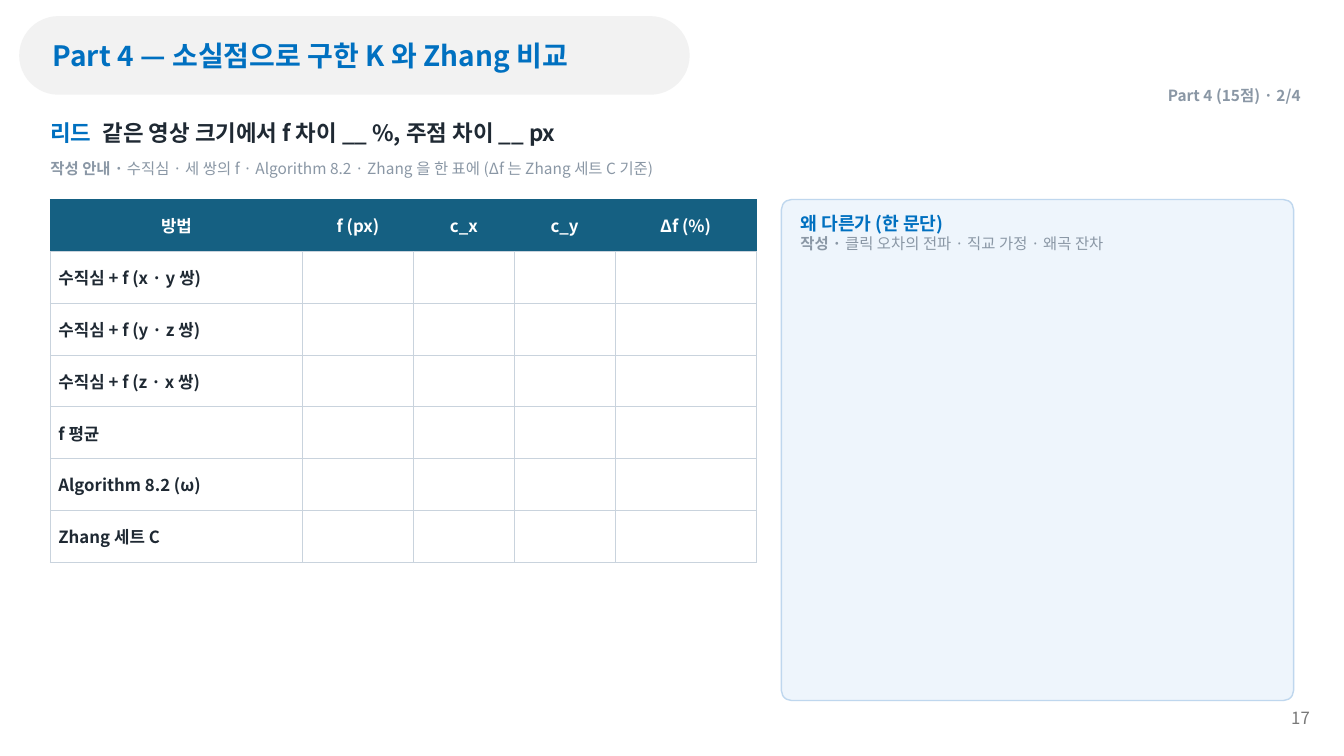
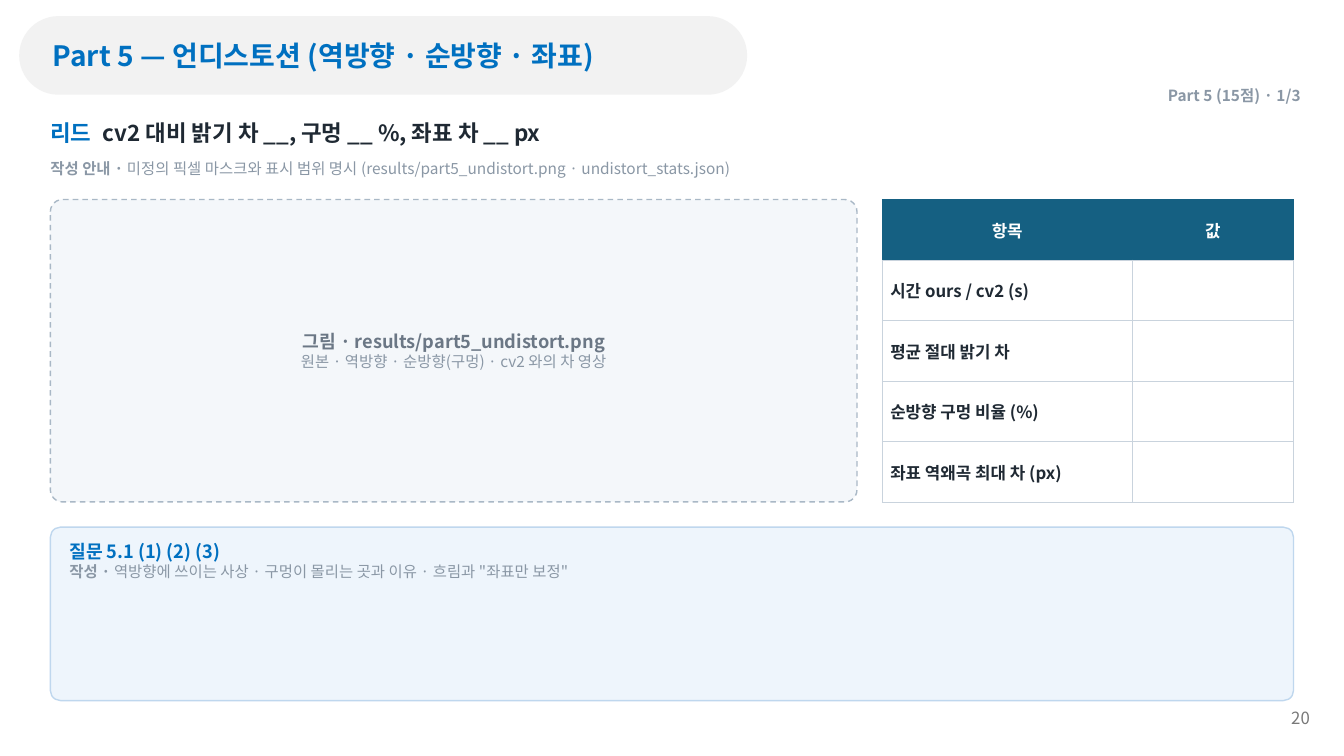
from dataclasses import dataclass

from lxml import etree
from pptx import Presentation
from pptx import util as u
from pptx.dml.color import RGBColor
from pptx.enum import dml, shapes, text
from pptx.oxml import ns


@dataclass(frozen=True)
class Theme:
    font: str = "Noto Sans CJK KR"
    accent: str = "0070C0"
    ink: str = "1F2933"
    muted: str = "8A97A5"
    caption: str = "6B7785"
    number: str = "797979"
    white: str = "FFFFFF"
    pill: str = "F2F2F2"
    header: str = "156082"
    grid: str = "C9D3DD"
    panel: str = "EEF5FC"
    panel_line: str = "BFD7EE"
    figure: str = "F4F7FA"
    figure_line: str = "A9B8C6"
    title_size: int = 20
    lead_size: int = 16
    heading_size: int = 13
    body_size: int = 12
    note_size: int = 11


THEME = Theme()
LEFT, RIGHT, TOP, BOTTOM, GAP = 0.5, 12.83, 1.98, 6.95, 0.25
WIDTH = RIGHT - LEFT
MIDDLE = text.MSO_ANCHOR.MIDDLE
CENTER, END = text.PP_ALIGN.CENTER, text.PP_ALIGN.RIGHT


def apply(target, **values):
    for name, value in values.items():
        setattr(target, name, value)


def add_span(para, words, size, color, bold=False):
    span = para.add_run()
    span.text = words
    apply(span.font, size=u.Pt(size), bold=bold, name=THEME.font)
    span.font.color.rgb = RGBColor.from_string(color)
    east_asian = etree.SubElement(span.font._element, ns.qn("a:ea"))
    east_asian.set("typeface", THEME.font)


def set_frame(frame, margins, **values):
    """Set the margins (left, top, right, bottom) and other frame values."""
    sides = ("margin_left", "margin_top", "margin_right", "margin_bottom")
    apply(frame, word_wrap=True, **dict(zip(sides, map(u.Inches, margins))), **values)


def add_text(page, at, spans, align=None, margins=(0, 0, 0, 0), tab=None,
             auto_size=text.MSO_AUTO_SIZE.SHAPE_TO_FIT_TEXT):
    frame = page.shapes.add_textbox(*map(u.Inches, at)).text_frame
    set_frame(frame, margins, vertical_anchor=MIDDLE, auto_size=auto_size)
    para = frame.paragraphs[0]
    para.alignment = align
    if tab:
        stops = etree.SubElement(para._p.get_or_add_pPr(), ns.qn("a:tabLst"))
        etree.SubElement(stops, ns.qn("a:tab"), pos=str(u.Inches(tab)), algn="l")
    for span in spans:
        add_span(para, *span)


def add_rounded(page, at, radius, fill, line=None, dash=None):
    box = page.shapes.add_shape(shapes.MSO_SHAPE.ROUNDED_RECTANGLE, *map(u.Inches, at))
    box.shadow.inherit = False
    box.adjustments[0] = radius / min(at[2:])
    box.fill.solid()
    box.fill.fore_color.rgb = RGBColor.from_string(fill)
    if line:
        box.line.color.rgb = RGBColor.from_string(line)
        apply(box.line, width=u.Pt(1), dash_style=dash)
    else:
        box.line.fill.background()
    return box


def write_paragraphs(frame, align, *paragraphs):
    for index, spans in enumerate(paragraphs):
        para = frame.add_paragraph() if index else frame.paragraphs[0]
        para.alignment = align
        for span in spans:
            add_span(para, *span)


def add_panel(page, at, heading, hint):
    frame = add_rounded(page, at, 0.1, THEME.panel, THEME.panel_line).text_frame
    set_frame(frame, (0.16, 0.1, 0.16, 0.08), vertical_anchor=text.MSO_ANCHOR.TOP)
    write_paragraphs(
        frame, text.PP_ALIGN.LEFT,
        [(heading, THEME.heading_size, THEME.accent, True)],
        [("작성 · ", THEME.note_size, THEME.muted, True),
         (hint, THEME.note_size, THEME.muted)])


def add_figure_slot(page, at, heading, caption):
    frame = add_rounded(page, at, 0.12, THEME.figure, THEME.figure_line,
                        dml.MSO_LINE.DASH).text_frame
    set_frame(frame, (0.12,) * 4, vertical_anchor=MIDDLE)
    write_paragraphs(
        frame, CENTER,
        [(heading, THEME.heading_size, THEME.caption, True)],
        [(caption, THEME.note_size, THEME.muted)])


def format_cell(cell, fill, border):
    """Borders go in before the fill, as the file format orders them."""
    properties = cell._tc.get_or_add_tcPr()
    for side in ("a:lnL", "a:lnR", "a:lnT", "a:lnB"):
        line = etree.SubElement(properties, ns.qn(side), w=str(u.Pt(0.75)))
        solid = etree.SubElement(line, ns.qn("a:solidFill"))
        etree.SubElement(solid, ns.qn("a:srgbClr"), val=border)
    cell.fill.solid()
    cell.fill.fore_color.rgb = RGBColor.from_string(fill)
    sides = dict(margin_left=0.08, margin_right=0.08, margin_top=0.03, margin_bottom=0.03)
    apply(cell, vertical_anchor=MIDDLE, **{k: u.Inches(v) for k, v in sides.items()})


def add_form_table(page, left, height, widths, headers, labels):
    """Add a table with a header row, row labels and blank cells to fill in."""
    rows = len(labels) + 1
    table = page.shapes.add_table(
        rows, len(widths), *map(u.Inches, (left, TOP, sum(widths), height))).table
    apply(table, horz_banding=False)
    for column, width in zip(table.columns, widths):
        column.width = u.Inches(width)
    for row in table.rows:
        row.height = u.Inches(height / rows)
    for index, cell in enumerate(table.iter_cells()):
        if index < len(headers):
            format_cell(cell, THEME.header, THEME.header)
        else:
            format_cell(cell, THEME.white, THEME.grid)
    for column, header in enumerate(headers):
        para = table.cell(0, column).text_frame.paragraphs[0]
        para.alignment = CENTER
        add_span(para, header, THEME.body_size, THEME.white, True)
    for row, label in enumerate(labels, 1):
        para = table.cell(row, 0).text_frame.paragraphs[0]
        add_span(para, label, THEME.body_size, THEME.ink, True)


def add_page(deck, title, title_width, number, section, lead, guide):
    """Add a blank page with the title pill, page number, section, lead and guide."""
    page = deck.slides.add_slide(deck.slide_layouts[6])
    pill = add_rounded(page, (0.19, 0.16, title_width, 0.78), 0.39, THEME.pill)
    set_frame(pill.text_frame, (0.22, 0.05, 0.1, 0.05), vertical_anchor=MIDDLE)
    write_paragraphs(pill.text_frame, text.PP_ALIGN.LEFT,
                     [(title, THEME.title_size, THEME.accent, True)])
    add_text(page, (12.64, 6.92, 0.45, 0.4), [(number, THEME.body_size, THEME.number)],
             END, (0.1, 0.05, 0.1, 0.05), auto_size=text.MSO_AUTO_SIZE.NONE)
    add_text(page, (9.45, 0.8, 3.45, 0.3),
             [(section, THEME.note_size, THEME.muted, True)], END)
    add_text(page, (LEFT, 1.1, WIDTH, 0.42),
             [("리드\t", THEME.lead_size, THEME.accent, True),
              (lead, THEME.lead_size, THEME.ink, True)], tab=0.52)
    add_text(page, (LEFT, 1.5, WIDTH, 0.34),
             [("작성 안내 · ", THEME.note_size, THEME.muted, True),
              (guide, THEME.note_size, THEME.muted)])
    return page


def build_comparison(deck):
    page = add_page(
        deck, "Part 4 — 소실점으로 구한 K 와 Zhang 비교", 6.65, "17", "Part 4 (15점) · 2/4",
        "같은 영상 크기에서 f 차이 __ %, 주점 차이 __ px",
        "수직심 · 세 쌍의 f · Algorithm 8.2 · Zhang 을 한 표에 (Δf 는 Zhang 세트 C 기준)")
    widths = (2.5, 1.1, 1, 1, 1.4)
    pairs = [f"수직심 + f ({pair} 쌍)" for pair in ("x · y", "y · z", "z · x")]
    add_form_table(page, LEFT, 3.6, widths, ("방법", "f (px)", "c_x", "c_y", "Δf (%)"),
                   pairs + ["f 평균", "Algorithm 8.2 (ω)", "Zhang 세트 C"])
    left = LEFT + sum(widths) + GAP
    add_panel(page, (left, TOP, RIGHT - left, BOTTOM - TOP),
              "왜 다른가 (한 문단)", "클릭 오차의 전파 · 직교 가정 · 왜곡 잔차")


def build_undistortion(deck):
    page = add_page(
        deck, "Part 5 — 언디스토션 (역방향 · 순방향 · 좌표)", 7.22, "20", "Part 5 (15점) · 1/3",
        "cv2 대비 밝기 차 __, 구멍 __ %, 좌표 차 __ px",
        "미정의 픽셀 마스크와 표시 범위 명시 (results/part5_undistort.png · undistort_stats.json)")
    figure_width, height = 8, 3
    add_figure_slot(page, (LEFT, TOP, figure_width, height),
                    "그림 · results/part5_undistort.png",
                    "원본 · 역방향 · 순방향(구멍) · cv2 와의 차 영상")
    add_form_table(page, LEFT + figure_width + GAP, height, (2.48, 1.6), ("항목", "값"),
                   ("시간 ours / cv2 (s)", "평균 절대 밝기 차",
                    "순방향 구멍 비율 (%)", "좌표 역왜곡 최대 차 (px)"))
    top = TOP + height + GAP
    add_panel(page, (LEFT, top, WIDTH, BOTTOM - top), "질문 5.1 (1) (2) (3)",
              "역방향에 쓰이는 사상 · 구멍이 몰리는 곳과 이유 · 흐림과 \"좌표만 보정\"")


def main():
    deck = Presentation()
    apply(deck, slide_width=u.Inches(13.33), slide_height=u.Inches(7.5))
    build_comparison(deck)
    build_undistortion(deck)
    deck.save("out.pptx")


if __name__ == "__main__":
    main()
